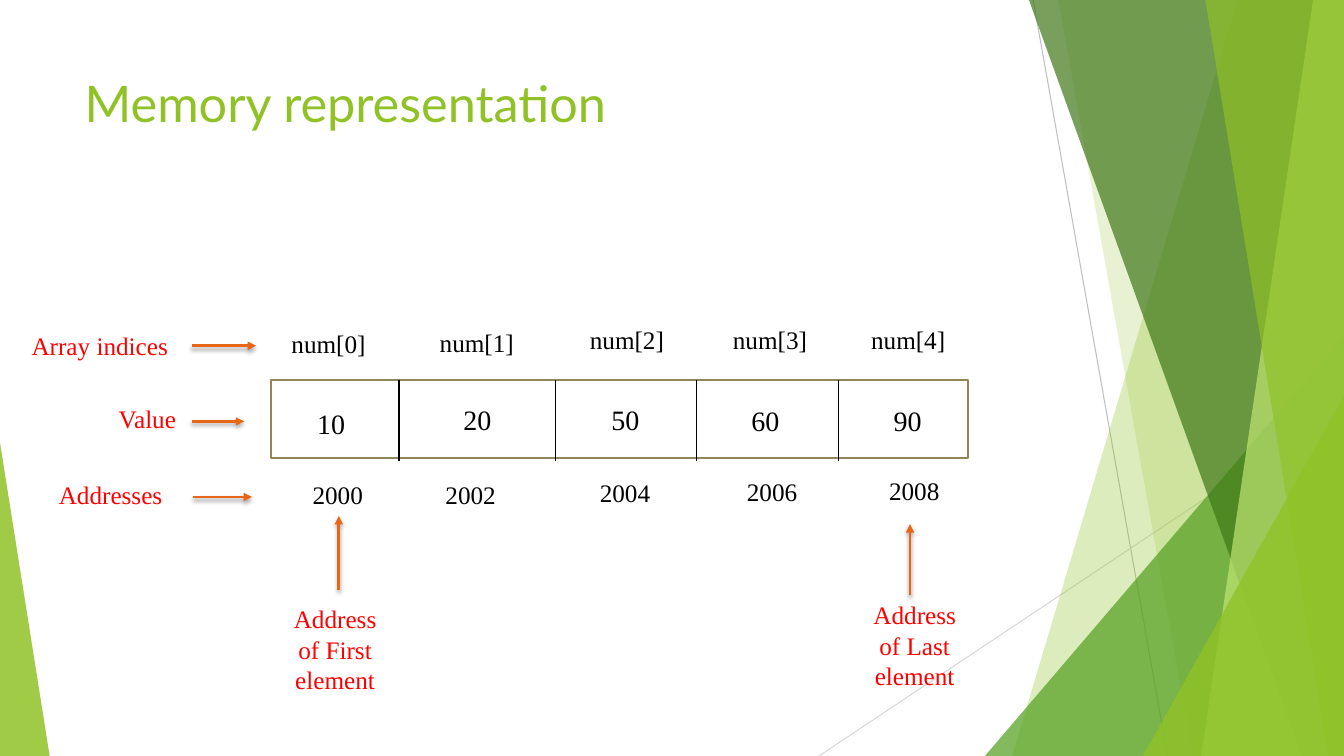
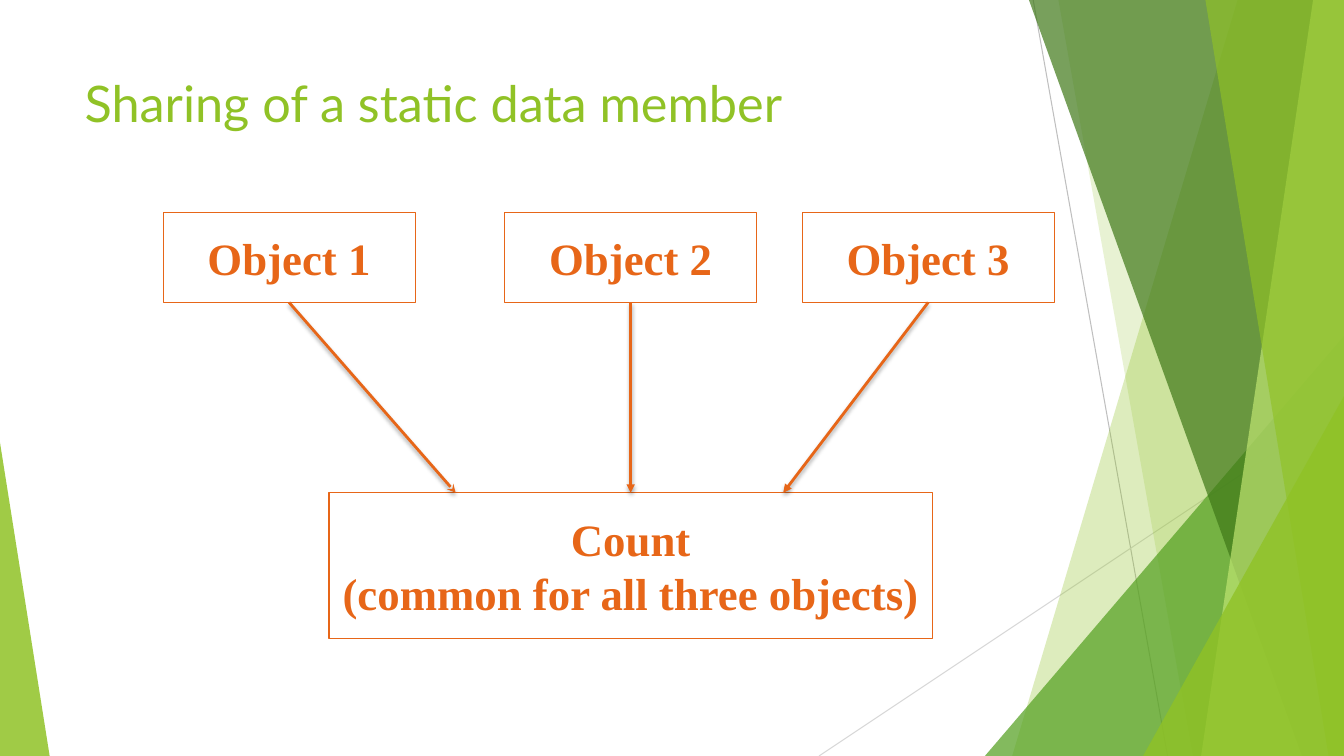
from pptx import Presentation
from pptx.dml.color import RGBColor
from pptx.enum.shapes import MSO_CONNECTOR, MSO_SHAPE
from pptx.enum.text import MSO_ANCHOR, MSO_AUTO_SIZE, PP_ALIGN
from pptx.oxml import parse_xml
from pptx.oxml.ns import nsdecls, qn
from pptx.oxml.xmlchemy import OxmlElement
from pptx.util import Pt

WIDTH, HEIGHT = 960, 540
GREEN, MID_GREEN, DARK_GREEN, LIME = "90C226", "54A021", "3F7818", "BFE471"
ORANGE, RED, BLACK, WHITE, OLIVE = "E76618", "FF0000", "000000", "FFFFFF", "918655"
TITLE_FONT, BODY_FONT = "Lato", "Times New Roman"

SHADOW = (
    f'<a:effectLst {nsdecls("a")}><a:outerShdw blurRad="{Pt(3)}" dist="{Pt(2)}" '
    'dir="5400000" rotWithShape="0"><a:srgbClr val="000000">'
    '<a:alpha val="35000"/></a:srgbClr></a:outerShdw></a:effectLst>'
)


def rgb(color):
    return RGBColor.from_string(color)


def style_paragraph(p, size, color, font=BODY_FONT, align=PP_ALIGN.CENTER, bold=False):
    p.alignment = align
    p.font.name, p.font.size, p.font.bold = font, Pt(size), bold
    p.font.color.rgb = rgb(color)


# Lines and shapes
def add_line(slide, start, end, color, width):
    line = slide.shapes.add_connector(
        MSO_CONNECTOR.STRAIGHT, *(Pt(v) for v in (*start, *end)))
    line.line.color.rgb = rgb(color)
    line.line.width = Pt(width)
    line.element.spPr.append(OxmlElement("a:effectLst"))
    return line


def add_arrow(slide, start, end, head="triangle"):
    arrow = add_line(slide, start, end, ORANGE, 2)
    spPr = arrow.element.spPr
    tail = OxmlElement("a:tailEnd")
    tail.set("type", head)
    spPr.find(qn("a:ln")).append(tail)
    spPr.replace(spPr.find(qn("a:effectLst")), parse_xml(SHADOW))
    return arrow


def fill_band(sp, color, opacity):
    sp.shadow.inherit = False
    sp.fill.solid()
    sp.fill.fore_color.rgb = rgb(color)
    sp.line.fill.background()
    alpha = OxmlElement("a:alpha")
    alpha.set("val", str(opacity * 1000))
    sp.element.spPr.find(qn("a:solidFill"))[0].append(alpha)


def add_band(slide, top_x, bottom_x, color, opacity):
    """A band from a slanted left edge to the right edge of the slide."""
    builder = slide.shapes.build_freeform(top_x, 0, scale=Pt(1))
    builder.add_line_segments([(WIDTH, 0), (WIDTH, HEIGHT), (bottom_x, HEIGHT)])
    fill_band(builder.convert_to_shape(), color, opacity)


def add_corner(slide, left, width, height, apex, color, opacity):
    """A right triangle standing on the bottom edge of the slide."""
    sp = slide.shapes.add_shape(MSO_SHAPE.ISOSCELES_TRIANGLE, Pt(left),
                                Pt(HEIGHT - height), Pt(width), Pt(height))
    sp.adjustments[0] = apex
    fill_band(sp, color, opacity)


def add_box(slide, left, top, width, height, color, line_width, fill=None, lines=()):
    sp = slide.shapes.add_shape(
        MSO_SHAPE.RECTANGLE, Pt(left), Pt(top), Pt(width), Pt(height))
    sp.shadow.inherit = False
    if fill:
        sp.fill.solid()
        sp.fill.fore_color.rgb = rgb(fill)
    else:
        sp.fill.background()
    sp.line.color.rgb = rgb(color)
    sp.line.width = Pt(line_width)
    tf = sp.text_frame
    tf.vertical_anchor = MSO_ANCHOR.MIDDLE
    for i, text in enumerate(lines):
        p = tf.add_paragraph() if i else tf.paragraphs[0]
        p.text = text
        style_paragraph(p, 32, color, bold=True)
    return sp


def add_label(slide, text, center, top, width, color=BLACK, size=18, height=29):
    sp = slide.shapes.add_textbox(
        Pt(center - width / 2), Pt(top), Pt(width), Pt(height))
    tf = sp.text_frame
    tf.word_wrap = True
    tf.text = text
    style_paragraph(tf.paragraphs[0], size, color)


# Shared layout
def decorate_layout(layout, slide):
    for ph in list(layout.placeholders):
        if ph.placeholder_format.idx != 0:
            ph.element.getparent().remove(ph.element)
    title = layout.placeholders[0]
    title.left, title.top, title.width, title.height = Pt(53.3), Pt(48), Pt(677), Pt(104)

    add_line(slide, (738, 0), (834, HEIGHT), "BFBFBF", 0.75)
    add_line(slide, (WIDTH, 290), (585, HEIGHT), "D8D8D8", 0.75)
    add_band(slide, 884, 723, GREEN, 30)
    add_band(slide, 756, 852, GREEN, 20)
    add_corner(slide, 703.5, 256.5, 300, 1, MID_GREEN, 72)
    add_band(slide, 735, 930, DARK_GREEN, 70)
    add_band(slide, 938, 858, LIME, 70)
    add_band(slide, 861, 949, GREEN, 65)
    add_corner(slide, 816.5, 143.5, 257, 1, GREEN, 80)
    add_corner(slide, 0, 35.5, 224, 0, GREEN, 85)
    for sp in list(slide.shapes):
        if not sp.is_placeholder:
            layout.shapes.element.append(sp.element)


def set_title(slide, text):
    tf = slide.shapes.title.text_frame
    tf.text = text
    tf.vertical_anchor = MSO_ANCHOR.TOP
    tf.auto_size = MSO_AUTO_SIZE.NONE
    style_paragraph(tf.paragraphs[0], 36, GREEN, TITLE_FONT, PP_ALIGN.LEFT)


# Slide contents
def build_memory(slide):
    set_title(slide, "Memory representation")

    # Array cells
    add_box(slide, 193.7, 271.5, 497.5, 56, OLIVE, 1.5, WHITE)
    for x in (285, 396.7, 497.5, 599):
        add_line(slide, (x, 271.5), (x, 329), BLACK, 1)

    # Index, value and address of each element: (center, top)
    indices = [(234.7, 231), (340.6, 230.5), (447.8, 228.3), (550, 228.3), (648.7, 228.3)]
    values = [(236.5, 286.6), (341, 283.7), (446.8, 283.7), (546.8, 284.4), (648.4, 284.4)]
    addresses = [(241.2, 339), (336.2, 339), (446.4, 337.7), (551.5, 337), (653, 336.3)]
    for i, value in enumerate((10, 20, 50, 60, 90)):
        add_label(slide, f"num[{i}]", *indices[i], 82)
        add_label(slide, str(value), *values[i], 58, size=20, height=31.5)
        add_label(slide, str(2000 + 2 * i), *addresses[i], 68)

    # Row names
    for text, center, top, start, end, y in (
        ("Array indices", 71.3, 232.5, 136.8, 183, 247),
        ("Value", 105.3, 284.5, 136.8, 174.5, 301),
        ("Addresses", 79, 339, 138, 180, 355),
    ):
        add_label(slide, text, center, top, 127, RED)
        add_arrow(slide, (start, y), (end, y))

    # Notes under the first and last address
    for place, center, top, x, start, end in (
        ("First", 239.4, 427.7, 242, 421.5, 368.6),
        ("Last", 653.4, 424.8, 650, 425, 374.4),
    ):
        add_label(slide, f"Address of {place} element", center, top, 91.4, RED, height=73)
        add_arrow(slide, (x, start), (x, end))


def build_sharing(slide):
    set_title(slide, "Sharing of a static data member")
    count = add_box(slide, 235, 352, 431, 104, ORANGE, 0.75,
                    lines=("Count", "(common for all three objects)"))
    objects = ((116.5, 325.5, "stealth"), (360.5, 450.5, "triangle"),
               (573, 559.5, "triangle"))
    for i, (left, target, head) in enumerate(objects, 1):
        box = add_box(slide, left, 152, 180, 64, ORANGE, 0.75, lines=(f"Object {i}",))
        arrow = add_arrow(slide, (left + 90, 216), (target, 352), head)
        arrow.begin_connect(box, 2)
        if i == 2:
            arrow.end_connect(count, 0)


def main():
    prs = Presentation()
    prs.slide_width, prs.slide_height = Pt(WIDTH), Pt(HEIGHT)
    layout = prs.slide_layouts[5]
    memory, sharing = (prs.slides.add_slide(layout) for _ in range(2))
    decorate_layout(layout, memory)
    build_memory(memory)
    build_sharing(sharing)
    prs.save("out.pptx")


if __name__ == "__main__":
    main()
